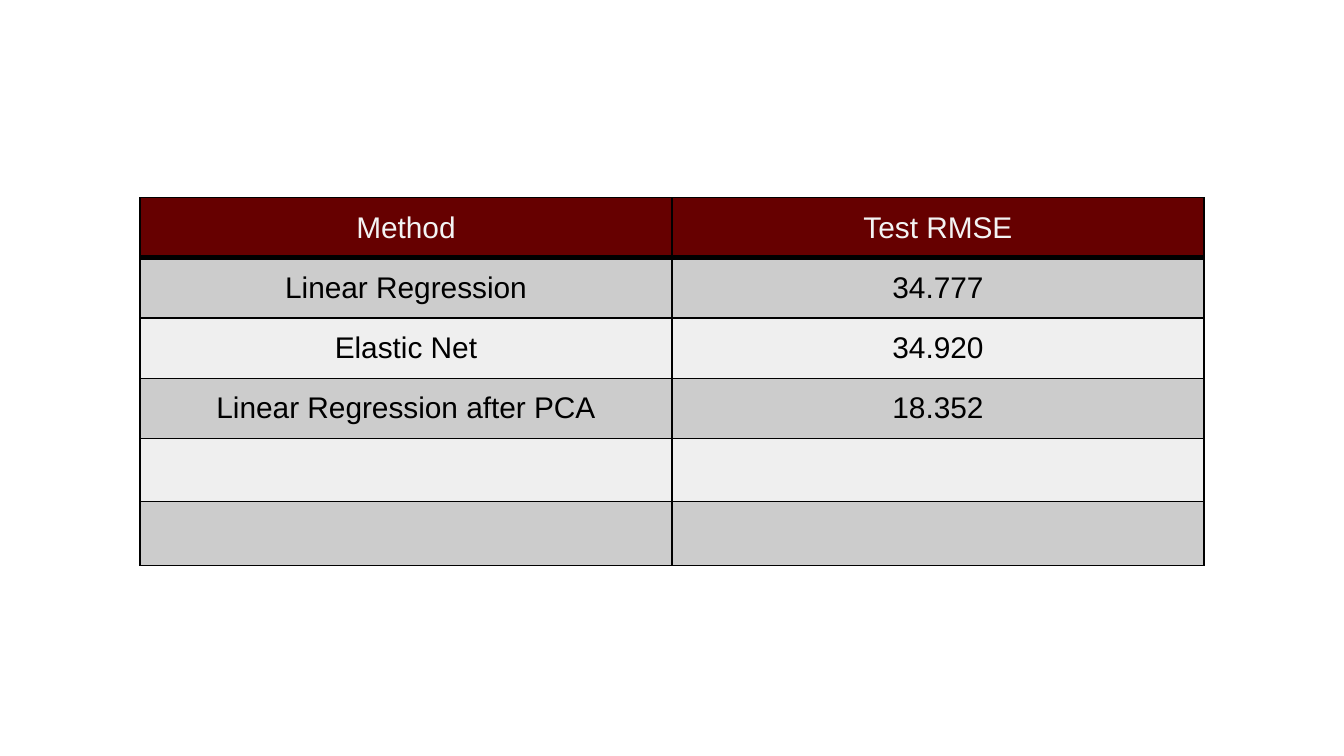
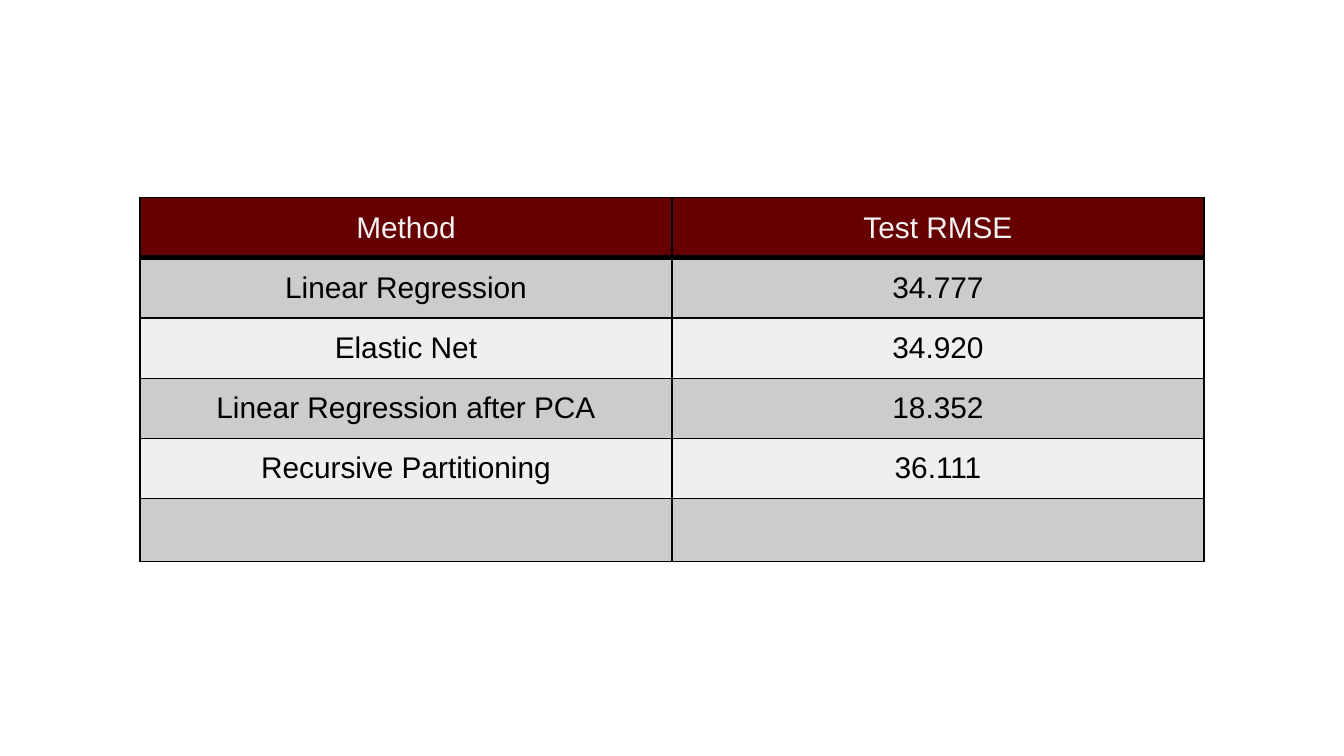
from lxml.etree import SubElement
from pptx import Presentation
from pptx.dml.color import RGBColor
from pptx.enum.text import PP_ALIGN
from pptx.oxml.ns import qn
from pptx.util import Pt

HEAD = ("Method", "Test RMSE")
SCORES = [
    ("Linear Regression", "34.777"),
    ("Elastic Net", "34.920"),
    ("Linear Regression after PCA", "18.352"),
    ("Recursive Partitioning", "36.111"),
]
SHOWN = (3, 4)
ROWS = 6

FONT, SIZE = "Arial", 16
MAROON, PALE, BLACK = "660000", "F3F3F3", "000000"
BANDS = ("CCCCCC", "EFEFEF")
LEFT, TOP, WIDTH, HEIGHT = 75, 106, 570, 201.6
ROW, INSET = 30, 7.2
THIN, THICK = 0.75, 3


def color(code):
    return RGBColor.from_string(code)


def edge(cell, side, width):
    props = cell._tc.get_or_add_tcPr()
    line = SubElement(props, qn(f"a:ln{side}"), w=str(Pt(width)))
    fill = SubElement(line, qn("a:solidFill"))
    SubElement(fill, qn("a:srgbClr"), val=BLACK)


def style(cell, text, row):
    for side in "LRTB":
        thick = (row, side) in ((0, "B"), (1, "T"))
        edge(cell, side, THICK if thick else THIN)
    cell.fill.solid()
    cell.fill.fore_color.rgb = color(BANDS[(row - 1) % 2] if row else MAROON)
    cell.margin_left = cell.margin_right = Pt(INSET)
    cell.margin_top = cell.margin_bottom = Pt(INSET)
    cell.text_frame.text = text
    para = cell.text_frame.paragraphs[0]
    para.alignment = PP_ALIGN.CENTER
    for run in para.runs:
        run.font.name = FONT
        run.font.size = Pt(SIZE)
        run.font.color.rgb = color(BLACK if row else PALE)
    if not text:
        SubElement(para._p, qn("a:endParaRPr"), sz=str(SIZE * 100))


def results(deck, count):
    slide = deck.slides.add_slide(deck.slide_layouts[6])
    slide.background.fill.solid()
    slide.background.fill.fore_color.rgb = color("FFFFFF")
    frame = slide.shapes.add_table(
        ROWS, len(HEAD), Pt(LEFT), Pt(TOP), Pt(WIDTH), Pt(HEIGHT)
    )
    table = frame.table
    for row in table.rows:
        row.height = Pt(ROW)
    lines = [HEAD] + SCORES[:count]
    lines += [("", "")] * (ROWS - len(lines))
    for r, line in enumerate(lines):
        for c, text in enumerate(line):
            style(table.cell(r, c), text, r)
    frame.height = Pt(HEIGHT)


def main():
    deck = Presentation()
    deck.slide_width, deck.slide_height = Pt(720), Pt(405)
    for count in SHOWN:
        results(deck, count)
    deck.save("out.pptx")


if __name__ == "__main__":
    main()
